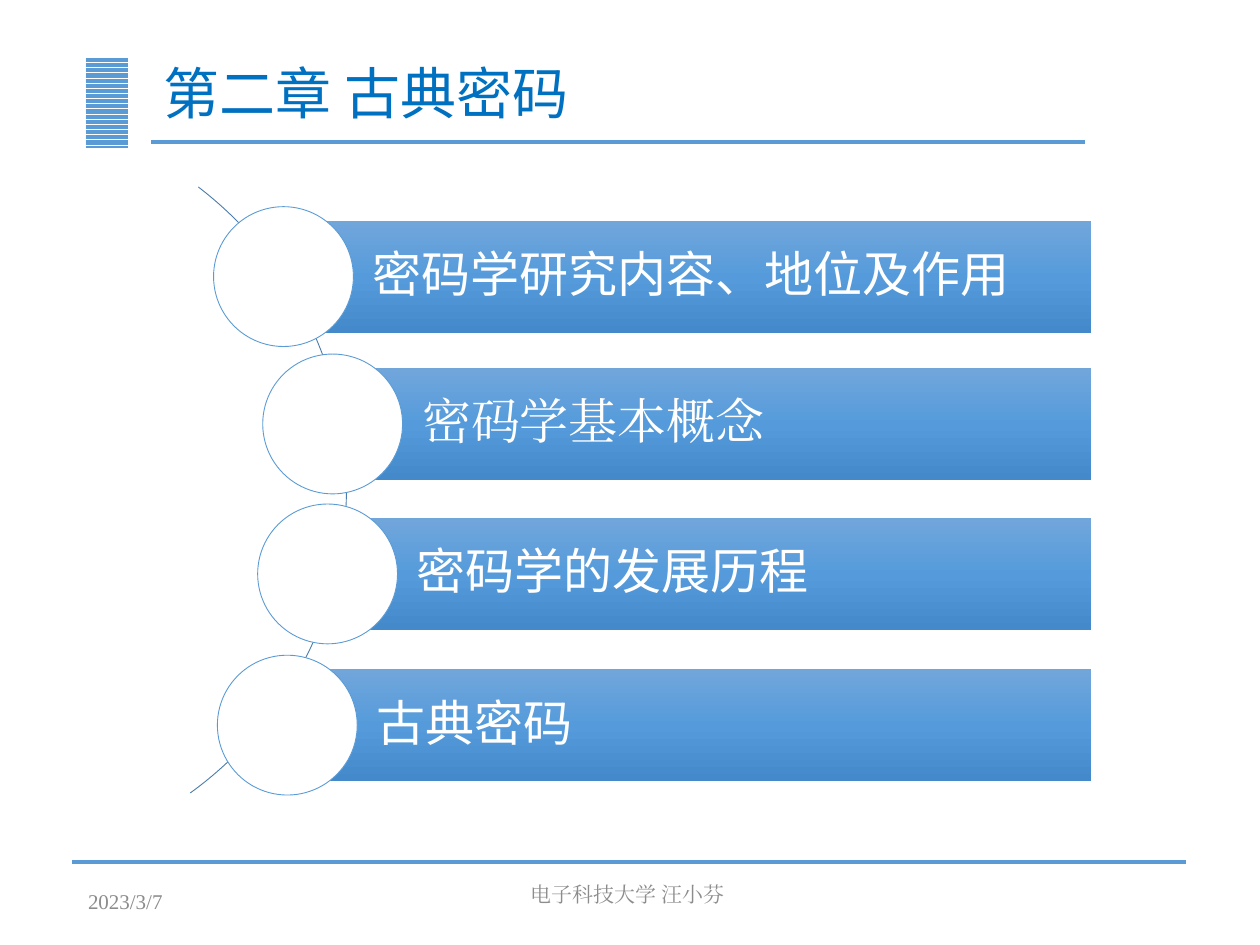
from copy import deepcopy

from lxml.etree import SubElement
from pptx import Presentation
from pptx.dml.color import RGBColor
from pptx.enum.dml import MSO_PATTERN
from pptx.enum.shapes import MSO_CONNECTOR, MSO_SHAPE
from pptx.enum.text import MSO_ANCHOR, MSO_AUTO_SIZE, PP_ALIGN
from pptx.oxml.ns import qn
from pptx.util import Inches, Pt

GRID = Inches(0.1)  # the slide is 100 columns by 75 rows
SANS, SERIF = "Noto Sans CJK SC", "Times New Roman"
BLUE, GREY, WHITE = "5B9BD5", "8C8C8C", "FFFFFF"
BAR_GRADIENT = [(0, "71A6DB"), (0.5, "559BDB"), (1, "448ACA")]
BAR_RIGHT, BAR_HEIGHT, CIRCLE_SIZE = 86.6, 8.9, 11.1

# text, font, left column, top row
TOPICS = [
    ("密码学研究内容、地位及作用", SANS, 22.5, 17.5),
    ("密码学基本概念", SERIF, 26.4, 29.2),
    ("密码学的发展历程", SANS, 26, 41.1),
    ("古典密码", SANS, 22.8, 53.1),
]


def cells(*counts):
    return [round(count * GRID) for count in counts]


def color(hex_value):
    return RGBColor.from_string(hex_value)


def write(shape, text, size, font_name, hex_value, align=PP_ALIGN.LEFT, anchor=MSO_ANCHOR.MIDDLE):
    frame = shape.text_frame
    frame.word_wrap = True
    frame.auto_size = MSO_AUTO_SIZE.NONE
    frame.vertical_anchor = anchor
    paragraph = frame.paragraphs[0]
    paragraph.alignment = align
    run = paragraph.add_run()
    run.text = text
    run.font.size = Pt(size)
    run.font.color.rgb = color(hex_value)
    run.font.name = font_name
    east_asian = SubElement(run.font._element, qn("a:ea"))
    east_asian.set("typeface", font_name)
    return paragraph


def add_shape(slide, kind, left, top, width, height, line=None):
    shape = slide.shapes.add_shape(kind, *cells(left, top, width, height))
    shape.shadow.inherit = False
    if line:
        shape.line.color.rgb = color(line)
        shape.line.width = Pt(0.5)
    else:
        shape.line.fill.background()
    return shape


def add_rule(slide, left, right, row):
    rule = slide.shapes.add_connector(MSO_CONNECTOR.STRAIGHT, *cells(left, row, right, row))
    rule.line.color.rgb = color(BLUE)
    rule.line.width = Pt(2.25)
    SubElement(rule._element.spPr, qn("a:effectLst"))


def add_stripes(slide):
    stripes = add_shape(slide, MSO_SHAPE.RECTANGLE, 6.8, 4.5, 3.4, 7.2)
    stripes.fill.patterned()
    stripes.fill.pattern = MSO_PATTERN.DARK_HORIZONTAL
    stripes.fill.fore_color.rgb = color(BLUE)
    stripes.fill.back_color.rgb = color(WHITE)


def add_title(slide, text):
    title = slide.shapes.title
    title.left, title.top, title.width, title.height = cells(12, 4, 74.1, 7.3)
    write(title, text, 32, SANS, "0070C0").line_spacing = 0.9


def add_arc(slide):
    arc = add_shape(slide, MSO_SHAPE.BLOCK_ARC, -32.3, 8.7, 59.8, 59.9, line="497CAB")
    arc.fill.background()
    for index, value in enumerate((184.394, 32.517, 0)):
        arc.adjustments[index] = value


def fill_gradient(shape, stops):
    """Fill from top to bottom with any number of (position, colour) stops."""
    shape.fill.gradient()
    shape.fill.gradient_angle = 270
    stop_list = shape.fill._xPr.find(qn("a:gradFill")).find(qn("a:gsLst"))
    while len(stop_list) < len(stops):
        stop_list.append(deepcopy(stop_list[0]))
    for stop, (position, hex_value) in zip(shape.fill.gradient_stops, stops):
        stop.position = position
        stop.color.rgb = color(hex_value)


def add_topic(slide, text, font_name, left, top):
    """Draw a bar whose left edge is centred behind a circle."""
    bar = add_shape(slide, MSO_SHAPE.RECTANGLE, left, top, BAR_RIGHT - left, BAR_HEIGHT)
    fill_gradient(bar, BAR_GRADIENT)
    frame = bar.text_frame
    frame.margin_left, frame.margin_top, frame.margin_right, frame.margin_bottom = cells(7.1, 0.7, 0.7, 0.7)
    write(bar, text, 28, font_name, WHITE).line_spacing = 0.9

    circle_top = top - (CIRCLE_SIZE - BAR_HEIGHT) / 2
    circle = add_shape(slide, MSO_SHAPE.OVAL, left - CIRCLE_SIZE / 2, circle_top,
                       CIRCLE_SIZE, CIRCLE_SIZE, line=BLUE)
    circle.fill.solid()
    circle.fill.fore_color.rgb = color(WHITE)


def add_footer_text(slide, text, left, width, align, anchor):
    box = slide.shapes.add_textbox(*cells(left, 69.5, width, 4))
    write(box, text, 12, SERIF, GREY, align, anchor)


def main():
    presentation = Presentation()
    presentation.slide_width, presentation.slide_height = cells(100, 75)
    slide = presentation.slides.add_slide(presentation.slide_layouts[5])
    add_stripes(slide)
    add_rule(slide, 12, 86.1, 11.3)
    add_rule(slide, 5.7, 94.1, 68.4)
    add_title(slide, "第二章 古典密码")
    add_arc(slide)
    for topic in TOPICS:
        add_topic(slide, *topic)
    add_footer_text(slide, "电子科技大学 汪小芬", 31.7, 36.2, PP_ALIGN.CENTER, MSO_ANCHOR.TOP)
    add_footer_text(slide, "2023/3/7", 6, 22.5, PP_ALIGN.LEFT, MSO_ANCHOR.MIDDLE)
    presentation.save("out.pptx")


if __name__ == "__main__":
    main()
